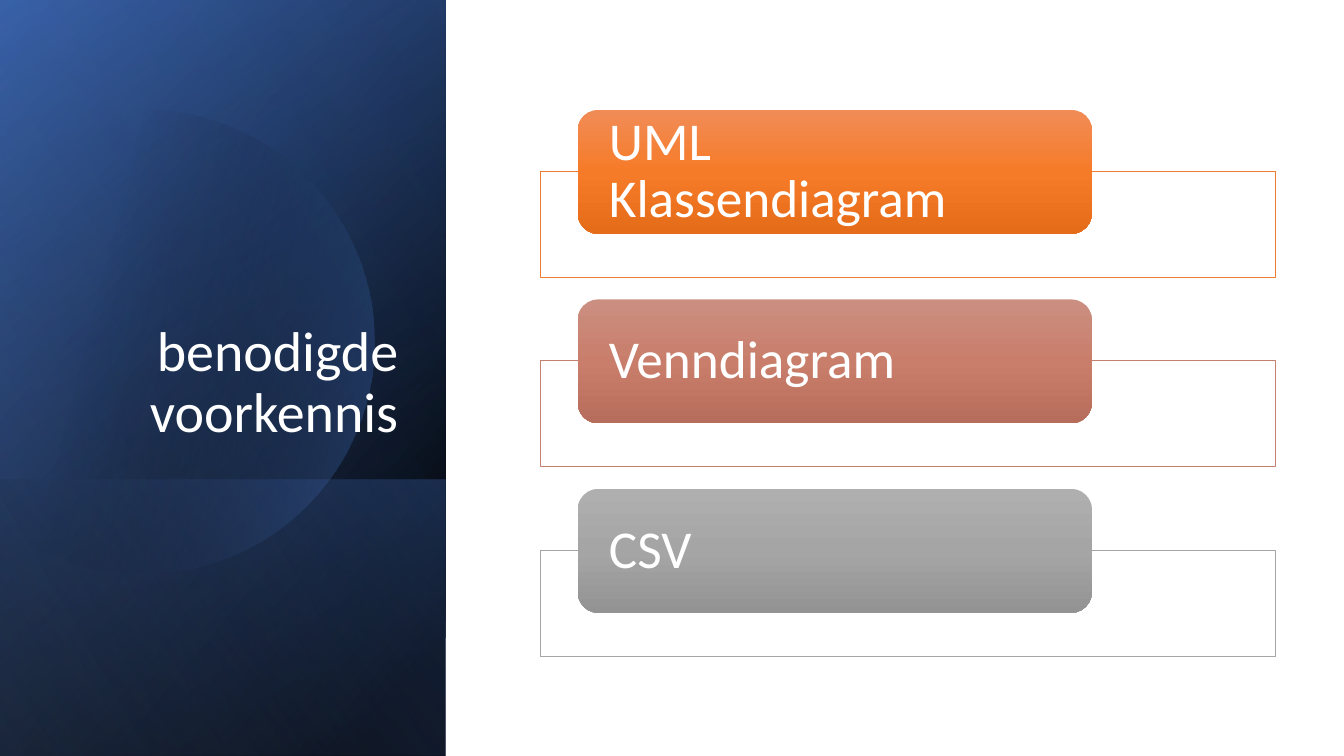
from dataclasses import dataclass
from math import acos, cos, pi, sin
from pptx import Presentation
from pptx.dml.color import RGBColor
from pptx.enum.shapes import MSO_SHAPE
from pptx.enum.text import MSO_ANCHOR, MSO_AUTO_SIZE, PP_ALIGN
from pptx.oxml import parse_xml
from pptx.oxml.ns import nsdecls
from pptx.util import Inches, Pt

TITLE = "benodigde voorkennis"
TOPICS = [
    ("UML Klassendiagram", "ED7D31", ("F18C57", "F67B28", "E56C19")),
    ("Venndiagram", "C48170", ("CB8F81", "C97E6B", "B76D5B")),
    ("CSV", "A5A5A5", ("AFAFAF", "A5A5A5", "939393")),
]


@dataclass(frozen=True)
class Theme:
    font: str = "Calibri"
    white: str = "FFFFFF"
    black: str = "000000"
    navy: str = "2F5597"
    blue: str = "4472C4"
    pale: str = "8FAADC"
    head: int = 40
    body: int = 38
    rule: float = 0.5


theme = Theme()
WIDE, HIGH = 13.33, 7.5
SIDE = 4.42
FOOT = 2.74
DISC = (1.41, 3.39, 2.3)
STEPS = 120
TOP, PITCH = 1.09, 1.88
FRAME = (5.36, 0.61, 7.29, 1.05)
PILL = (5.73, 0, 5.1, 1.23)

PANELS = [
    (0, HIGH, 220, [(8, theme.black, 100), (100, theme.navy, 100)]),
    (0, HIGH, 240, [(0, theme.black, 0), (99, theme.blue, 46)]),
    (HIGH - FOOT, FOOT, 140, [(2, theme.blue, 29), (100, theme.black, 30)]),
]
GLOW = [(29, theme.black, 0), (100, theme.blue, 43)]
SHEEN = (0, HIGH, 150, [(0, theme.black, 0), (99, theme.pale, 11)])


def blend(shape, angle, stops):
    shape.shadow.inherit = False
    shape.line.fill.background()
    shape.fill.background()
    marks = "".join(
        f'<a:gs pos="{at * 1000}"><a:srgbClr val="{color}">'
        f'<a:alpha val="{alpha * 1000}"/></a:srgbClr></a:gs>'
        for at, color, alpha in stops
    )
    grad = parse_xml(
        f'<a:gradFill {nsdecls("a")} rotWithShape="1"><a:gsLst>{marks}</a:gsLst>'
        f'<a:lin ang="{angle * 60000}" scaled="0"/></a:gradFill>'
    )
    props = shape.fill._xPr
    props.replace(props.find("{*}noFill"), grad)


def style(para, size):
    para.line_spacing = 0.9
    para.font.name = theme.font
    para.font.size = Pt(size)
    para.font.color.rgb = RGBColor.from_string(theme.white)


def place(shapes, kind, box, top=0):
    left, down, width, height = box
    return shapes.add_shape(
        kind, Inches(left), Inches(top + down), Inches(width), Inches(height)
    )


def panel(shapes, top, height, angle, stops):
    shape = place(shapes, MSO_SHAPE.RECTANGLE, (0, top, SIDE, height))
    blend(shape, angle, stops)


def disc(shapes):
    mid, level, radius = DISC
    edge = acos(-mid / radius)
    turns = [edge * (2 * i / STEPS - 1) for i in range(STEPS + 1)]
    dots = [
        (Inches(max(0, mid + radius * cos(t))), Inches(level + radius * sin(t)))
        for t in turns
    ]
    form = shapes.build_freeform(*dots[0])
    form.add_line_segments(dots[1:], close=True)
    blend(form.convert_to_shape(), 14, GLOW)


def heading(shapes):
    title = shapes.title
    title.left, title.top = Inches(0.64), Inches(1.84)
    title.width, title.height = Inches(3.41), Inches(2.62)
    frame = title.text_frame
    frame.text = TITLE
    frame.word_wrap = True
    frame.auto_size = MSO_AUTO_SIZE.NONE
    frame.vertical_anchor = MSO_ANCHOR.BOTTOM
    para = frame.paragraphs[0]
    para.alignment = PP_ALIGN.RIGHT
    style(para, theme.head)
    shapes._spTree.append(title._element)


def topic(shapes, top, name, color, tones):
    box = place(shapes, MSO_SHAPE.RECTANGLE, FRAME, top)
    box.shadow.inherit = False
    box.fill.solid()
    box.fill.fore_color.rgb = RGBColor.from_string(theme.white)
    box.line.color.rgb = RGBColor.from_string(color)
    box.line.width = Pt(theme.rule)

    pill = place(shapes, MSO_SHAPE.ROUNDED_RECTANGLE, PILL, top)
    blend(pill, 90, [(50 * i, tone, 100) for i, tone in enumerate(tones)])
    frame = pill.text_frame
    frame.text = name
    frame.word_wrap = True
    frame.vertical_anchor = MSO_ANCHOR.MIDDLE
    frame.margin_left = frame.margin_right = Inches(0.25)
    frame.margin_top = frame.margin_bottom = 0
    para = frame.paragraphs[0]
    para.alignment = PP_ALIGN.LEFT
    style(para, theme.body)


def main():
    deck = Presentation()
    deck.slide_width, deck.slide_height = Inches(WIDE), Inches(HIGH)
    shapes = deck.slides.add_slide(deck.slide_layouts[5]).shapes
    for item in PANELS:
        panel(shapes, *item)
    disc(shapes)
    panel(shapes, *SHEEN)
    heading(shapes)
    for i, item in enumerate(TOPICS):
        topic(shapes, TOP + i * PITCH, *item)
    deck.save("out.pptx")


if __name__ == "__main__":
    main()
